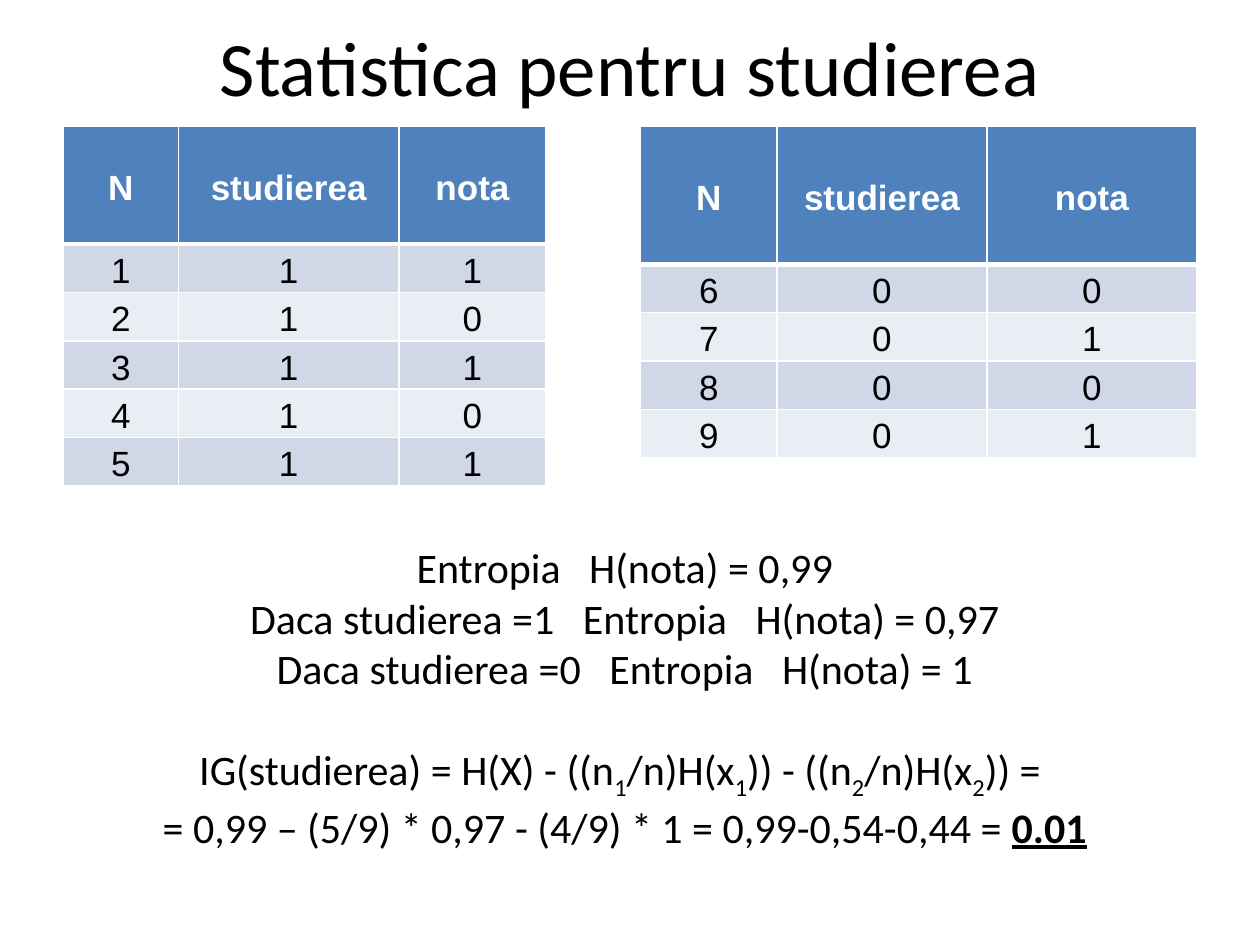
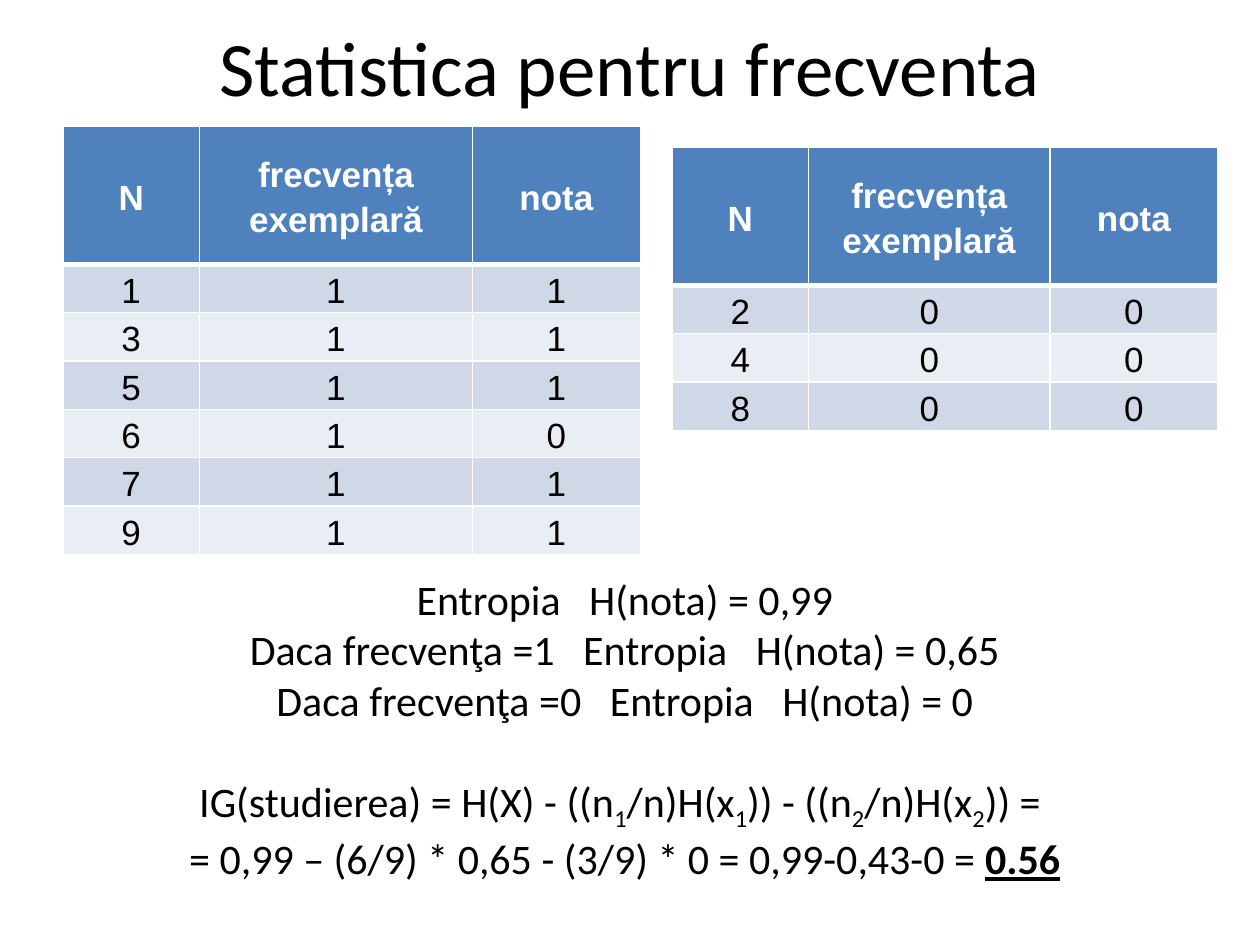
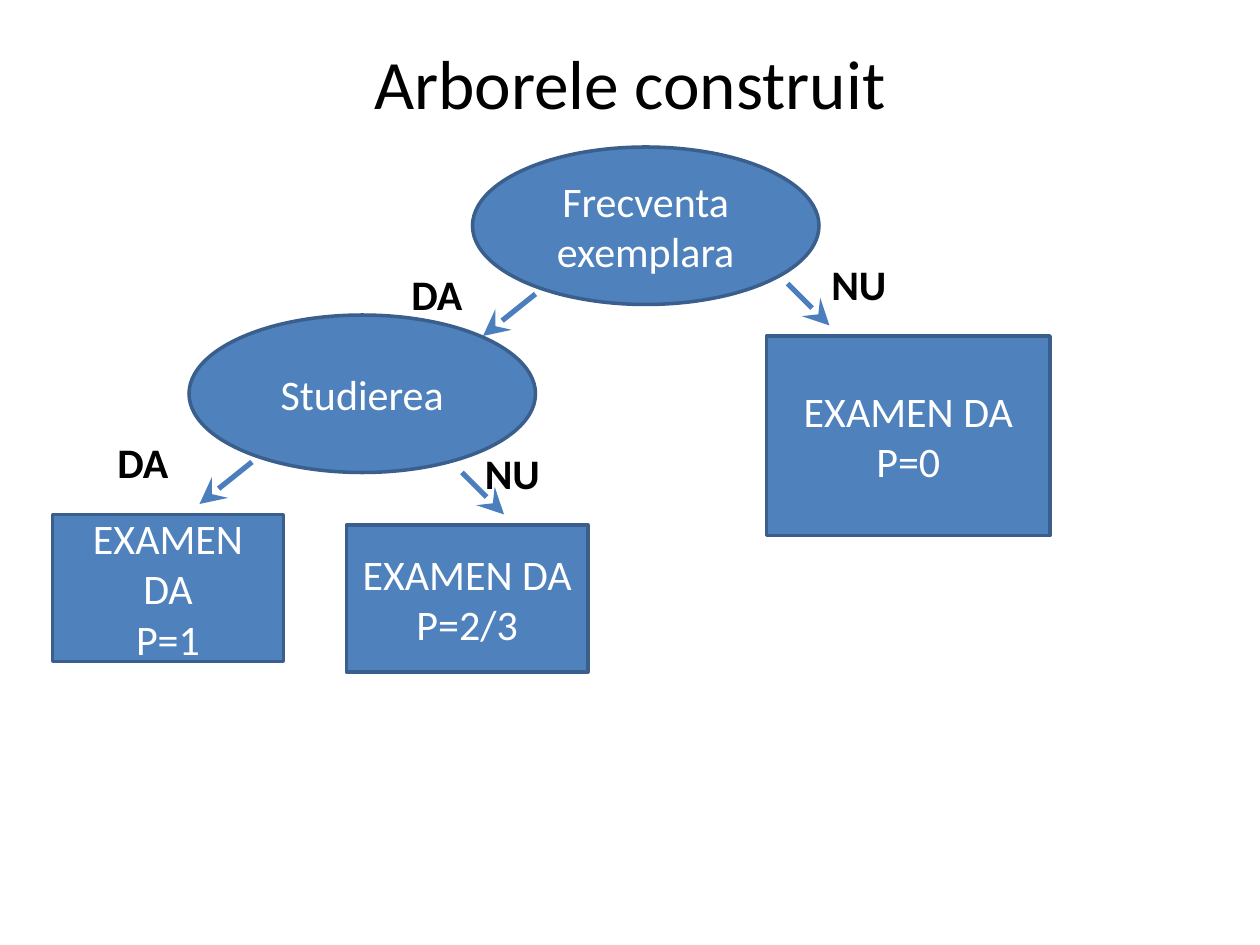
from lxml import etree
from pptx import Presentation
from pptx.dml.color import RGBColor
from pptx.enum.shapes import MSO_CONNECTOR, MSO_SHAPE
from pptx.enum.text import MSO_ANCHOR, PP_ALIGN
from pptx.oxml.ns import qn
from pptx.util import Pt

OVAL, RECT = MSO_SHAPE.OVAL, MSO_SHAPE.RECTANGLE
LINE = MSO_CONNECTOR.STRAIGHT
MID, TOP = MSO_ANCHOR.MIDDLE, MSO_ANCHOR.TOP
LEFT, CENTER = PP_ALIGN.LEFT, PP_ALIGN.CENTER

BLACK, WHITE = "000000", "FFFFFF"
BLUE, EDGE, ARROW = "4F81BD", "3A5F8C", "4B7EBC"
BANDS = ("D0D8E8", "E9EDF4")
SERIF_FREE, SANS = "Calibri", "Arial"
SPACE = 5.4
FORMULA = (("IG(studierea) = H(X) - ((n", ""), ("1", "sub"), ("/n)H(x", ""),
           ("1", "sub"), (")) - ((n", ""), ("2", "sub"), ("/n)H(x", ""),
           ("2", "sub"), (")) = ", ""))


def color(code):
    return RGBColor.from_string(code)


def style(para, size, code, align=CENTER, bold=False, face=SERIF_FREE):
    para.alignment = align
    font = para.font
    font.size, font.name, font.bold = Pt(size), face, bold
    font.color.rgb = color(code)


def fill_text(frame, lines, size, code, align=CENTER, bold=False, anchor=MID):
    frame.word_wrap = True
    frame.vertical_anchor = anchor
    for i, line in enumerate(lines):
        para = frame.add_paragraph() if i else frame.paragraphs[0]
        para.text = line
        style(para, size, code, align, bold)


def add_text(slide, box, lines, size, align=CENTER, bold=False, anchor=TOP):
    shape = slide.shapes.add_textbox(*map(Pt, box))
    fill_text(shape.text_frame, lines, size, BLACK, align, bold, anchor)
    return shape.text_frame


def add_title(slide, text, top=6, height=62.5, size=44):
    add_text(slide, (36, top, 648, height), [text], size, anchor=MID)


def add_runs(para, parts):
    for text, kind in parts:
        run = para.add_run()
        run.text = text
        if kind == "sub":
            run.font._element.set("baseline", "-25000")
        elif kind == "key":
            run.font.bold = run.font.underline = True
        elif kind == "gap":
            run.font._element.set("spc", str(round(SPACE * 200)))


def spread(*words):
    parts = [(words[0], "")]
    for word in words[1:]:
        parts += [(" ", "gap"), (word, "")]
    return parts


def add_proof(slide, top, name, yes, no, sums, gain):
    frame = add_text(slide, (18, top, 678, 181.5), [""], 24)
    rows = [spread("Entropia", "H(nota) = 0,99"),
            spread(f"Daca {name} =1", "Entropia", f"H(nota) = {yes}"),
            spread(f"Daca {name} =0", "Entropia", f"H(nota) = {no}"),
            FORMULA, [(sums, ""), (gain, "key")]]
    for i, parts in enumerate(rows):
        para = frame.add_paragraph() if i else frame.paragraphs[0]
        style(para, 24, BLACK)
        add_runs(para, parts)
        if parts is FORMULA:
            para.space_before = Pt(29)


def set_edges(cell, foot):
    props = cell._tc.get_or_add_tcPr()
    for i, (tag, width) in enumerate(
            (("lnL", 1), ("lnR", 1), ("lnT", 1), ("lnB", foot))):
        edge = etree.Element(qn(f"a:{tag}"), w=str(Pt(width)))
        solid = etree.SubElement(edge, qn("a:solidFill"))
        etree.SubElement(solid, qn("a:srgbClr"), val=WHITE)
        props.insert(i, edge)


def add_grid(slide, spot, height, widths, head, row, data):
    left, top = spot
    frame = slide.shapes.add_table(len(data), len(widths), Pt(left), Pt(top),
                                   Pt(sum(widths)), Pt(height))
    table = frame.table
    for col, width in zip(table.columns, widths):
        col.width = Pt(width)
    for r, values in enumerate(data):
        table.rows[r].height = Pt(row if r else head)
        for c, value in enumerate(values):
            cell = table.cell(r, c)
            cell.fill.solid()
            cell.fill.fore_color.rgb = color(BANDS[(r - 1) % 2] if r else BLUE)
            set_edges(cell, 1 if r else 3)
            cell.vertical_anchor = MID
            cell.margin_left = cell.margin_right = Pt(5)
            cell.margin_top = cell.margin_bottom = 0
            para = cell.text_frame.paragraphs[0]
            para.text = value
            style(para, 20, BLACK if r else WHITE, bold=not r, face=SANS)
            para.line_spacing, para.space_after = 1.15, Pt(10)
    frame.height = Pt(height)


def add_node(slide, kind, box, *lines):
    shape = slide.shapes.add_shape(kind, *map(Pt, box))
    shape.shadow.inherit = False
    shape.fill.solid()
    shape.fill.fore_color.rgb = color(BLUE)
    shape.line.color.rgb = color(EDGE)
    shape.line.width = Pt(2)
    fill_text(shape.text_frame, lines, 24, WHITE)


def add_arrow(slide, *ends):
    link = slide.shapes.add_connector(LINE, *map(Pt, ends))
    link.line.color.rgb = color(ARROW)
    link.line.width = Pt(3)
    etree.SubElement(link.line._get_or_add_ln(), qn("a:tailEnd"),
                     type="stealth", w="lg", len="lg")
    etree.SubElement(link._element.spPr, qn("a:effectLst"))


def study(slide):
    add_title(slide, "Statistica pentru studierea")
    head = ("N", "studierea", "nota")
    add_grid(slide, (36, 72), 206, (66, 126, 84), 67.5, 24,
             [head, "111", "210", "311", "410", "511"])
    add_proof(slide, 306, "studierea", "0,97", "1",
              "= 0,99 – (5/9) * 0,97 - (4/9) * 1 = 0,99-0,54-0,44 = ", "0.01")
    add_grid(slide, (366, 72), 189.5, (78, 120, 120), 79, 26.6,
             [head, "600", "701", "800", "901"])


def attend(slide):
    add_title(slide, "Statistica pentru frecventa")
    add_proof(slide, 324, "frecvenţa", "0,65", "0",
              "= 0,99 – (6/9) * 0,65 - (3/9) * 0 = 0,99-0,43-0 = ", "0.56")
    head = ("N", "frecvența exemplară", "nota")
    add_grid(slide, (36, 72), 245, (78, 156, 96), 79, 26.6,
             [head, "111", "311", "511", "610", "711", "911"])
    add_grid(slide, (384, 84), 162, (78, 138, 96), 79, 26.6,
             [head, "200", "400", "800"])


def tree(slide):
    add_title(slide, "Arborele construit", 21.5, 50.5, 39.6)
    add_node(slide, OVAL, (270, 84, 198, 90), "Frecventa exemplara")
    add_node(slide, OVAL, (108, 180, 198, 90), "Studierea")
    for ends in ((306, 168, 276, 192), (264, 270, 288, 294),
                 (144, 264, 114, 288), (450, 162, 474, 186)):
        add_arrow(slide, *ends)
    for word, left, top in (("DA", 228, 150), ("DA", 60, 246),
                            ("NU", 468, 144), ("NU", 270, 252)):
        add_text(slide, (left, top, 66, 36), [word], 24, LEFT, True)
    for odds, box in (("P=1", (30, 294, 132, 84)),
                      ("P=0", (438, 192, 162, 114)),
                      ("P=2/3", (198, 300, 138, 84))):
        add_node(slide, RECT, box, "EXAMEN DA", odds)


def main():
    deck = Presentation()
    deck.slide_width, deck.slide_height = Pt(720), Pt(540)
    for draw in (study, attend, tree):
        draw(deck.slides.add_slide(deck.slide_layouts[6]))
    deck.save("out.pptx")


if __name__ == "__main__":
    main()
